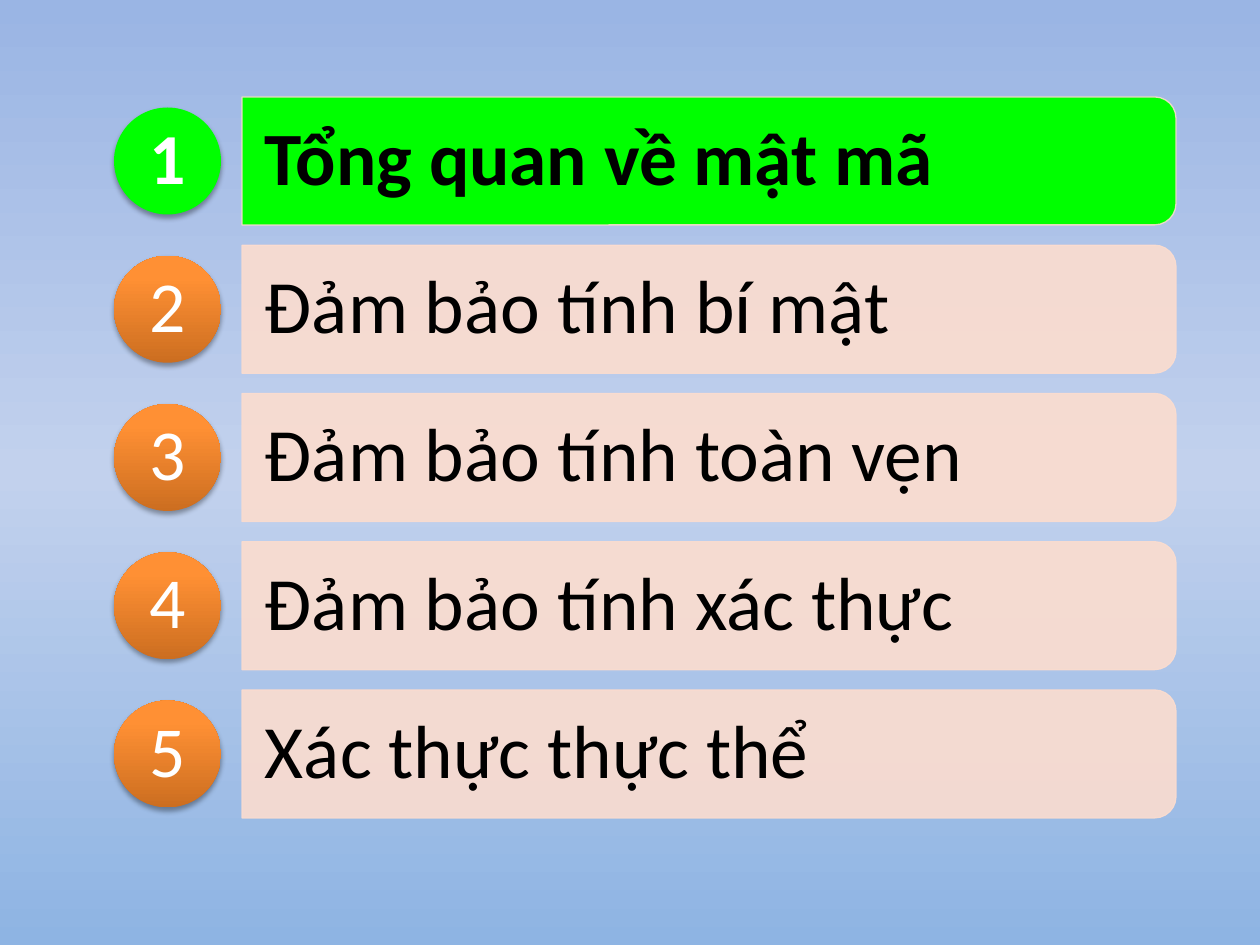
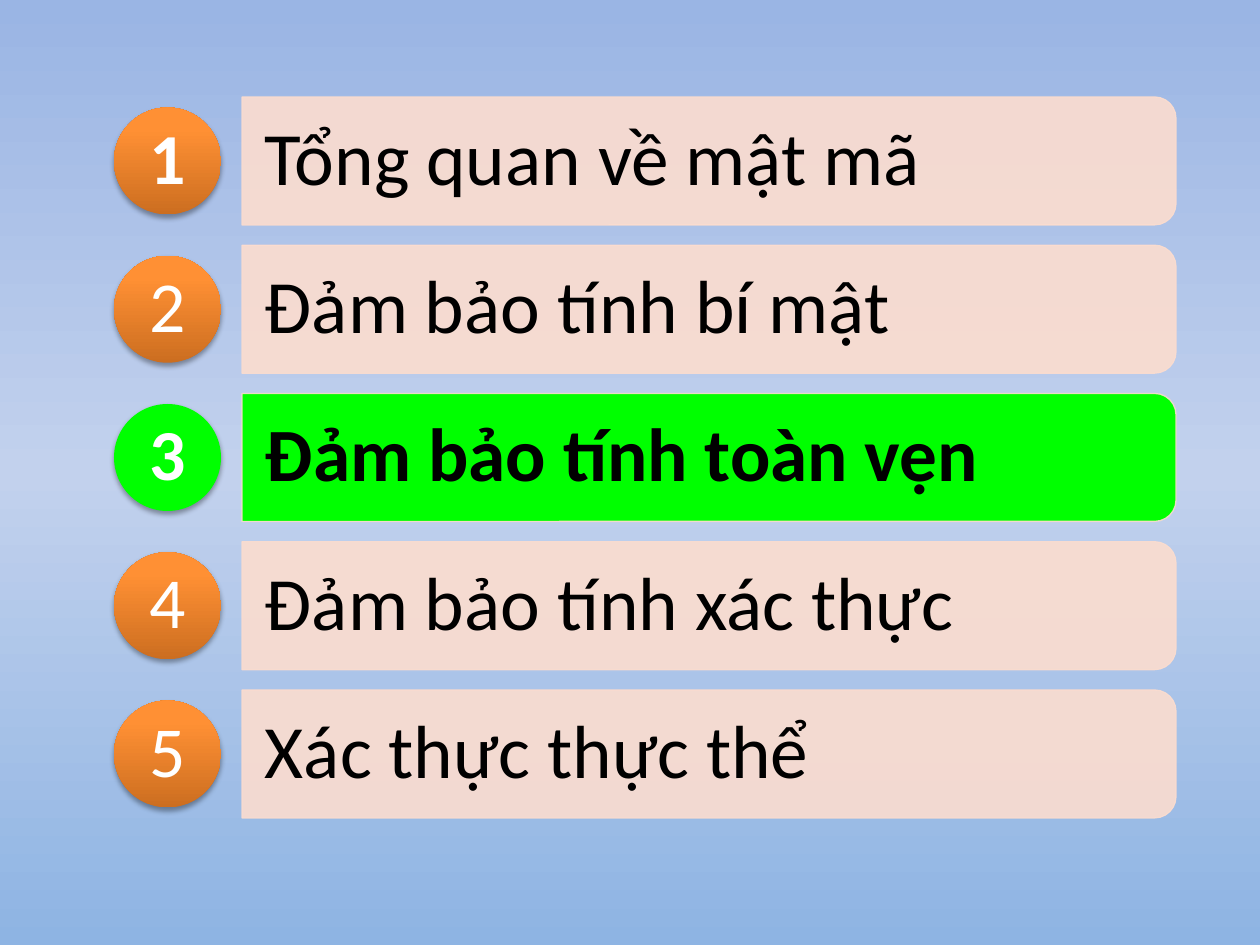
from dataclasses import dataclass
from typing import NamedTuple

from lxml import etree
from pptx import Presentation
from pptx.dml.color import RGBColor
from pptx.enum.shapes import MSO_SHAPE
from pptx.enum.text import MSO_ANCHOR, PP_ALIGN
from pptx.oxml.ns import qn
from pptx.util import Pt

BAR_SHAPE = MSO_SHAPE.ROUND_2_SAME_RECTANGLE
BADGE_SHAPE = MSO_SHAPE.OVAL
MIDDLE = MSO_ANCHOR.MIDDLE
LEFT, CENTER = PP_ALIGN.LEFT, PP_ALIGN.CENTER
EMU_PER_PX = 914400 / 126

TOPICS = (
    "Tổng quan về mật mã",
    "Đảm bảo tính bí mật",
    "Đảm bảo tính toàn vẹn",
    "Đảm bảo tính xác thực",
    "Xác thực thực thể",
)
CURRENT_TOPICS = (1, 3)
ALWAYS_BOLD_NUMBER = 1


@dataclass(frozen=True)
class Theme:
    """Colours, type sizes and measures shared by the slides."""
    font: str = "Calibri"
    topic_size: int = 43
    number_size: int = 41
    ink: str = "000000"
    number_ink: str = "FFFFFF"
    current: str = "00FF00"
    bar: str = "FCDDCF"
    bar_alpha: int = 90
    background: tuple = ((0, "9AB5E4"), (50, "C2D1ED"), (100, "8EB4E3"))
    badge: tuple = ((0, "CC6E20"), (80, "FF9034"), (100, "FF9136"))
    shadow_alpha: int = 35


class Box(NamedTuple):
    """A rectangle in px."""
    left: float
    top: float
    width: float
    height: float

    def emu(self):
        """Return the four lengths in EMU."""
        return [px(length) for length in self]


THEME = Theme()
PAGE = Box(0, 0, 1260, 945)
AGENDA = Box(114, 97, 1062, 721)
BAR_HEIGHT, BAR_INDENT = 128, 128
BADGE_SIZE = 107
TEXT_TRIM = 6
TEXT_INSETS = (23, 15)


def px(length):
    """Turn px into EMU."""
    return round(length * EMU_PER_PX)


def add_color(parent, color, alpha=100):
    """Append a colour with an opacity in percent."""
    tint = etree.SubElement(parent, qn("a:srgbClr"), val=color)
    if alpha < 100:
        etree.SubElement(tint, qn("a:alpha"), val=str(alpha * 1000))


def paint_gradient(fill, owner, stops, angle):
    """Give a fill its gradient stops and its counter-clockwise angle."""
    fill.gradient()
    fill.gradient_angle = angle
    stop_list = next(owner.iter(qn("a:gsLst")))
    for old_stop in list(stop_list):
        stop_list.remove(old_stop)
    for position, color in stops:
        stop = etree.SubElement(stop_list, qn("a:gs"), pos=str(position * 1000))
        add_color(stop, color)


def paint_solid(fill, owner, color, alpha=100):
    """Give a fill one colour with an opacity in percent."""
    fill.solid()
    fill.fore_color.rgb = RGBColor.from_string(color)
    if alpha < 100:
        solid = next(owner.iter(qn("a:solidFill")))
        solid.remove(solid[0])
        add_color(solid, color, alpha)


def write_text(shape, text, size, color, bold, align, insets=(0, 0)):
    """Write one vertically centred line of text in a shape."""
    frame = shape.text_frame
    frame.word_wrap = True
    frame.vertical_anchor = MIDDLE
    frame.margin_left = frame.margin_right = px(insets[0])
    frame.margin_top = frame.margin_bottom = px(insets[1])
    para = frame.paragraphs[0]
    para.alignment = align
    para.line_spacing = 0.9
    para.space_after = Pt(0)
    spacing = next(para._p.iter(qn("a:spcAft")))
    spacing.remove(spacing[0])
    etree.SubElement(spacing, qn("a:spcPct"), val="35000")
    span = para.add_run()
    span.text = text
    span.font.name = THEME.font
    span.font.size = Pt(size)
    span.font.bold = bold
    span.font.color.rgb = RGBColor.from_string(color)


def add_bar(slide, box, topic, is_current):
    """Draw a topic bar, rounded on the right, with its text."""
    upright = Box(box.left + (box.width - box.height) / 2,
                  box.top + (box.height - box.width) / 2,
                  box.height, box.width)
    bar = slide.shapes.add_shape(BAR_SHAPE, *upright.emu())
    bar.rotation = 90
    bar.shadow.inherit = False
    properties = bar._element.spPr
    if is_current:
        paint_solid(bar.fill, properties, THEME.current)
    else:
        paint_solid(bar.fill, properties, THEME.bar, THEME.bar_alpha)
    bar.line.width = Pt(0.75)
    paint_solid(bar.line.fill, bar.line._get_or_add_ln(), THEME.bar, THEME.bar_alpha)
    text_box = Box(box.left, box.top + TEXT_TRIM,
                   box.width - TEXT_TRIM, box.height - 2 * TEXT_TRIM)
    label = slide.shapes.add_textbox(*text_box.emu())
    write_text(label, topic, THEME.topic_size, THEME.ink, is_current, LEFT, TEXT_INSETS)


def add_badge(slide, box, number, is_current):
    """Draw a round number badge with a soft shadow."""
    badge = slide.shapes.add_shape(BADGE_SHAPE, *box.emu())
    properties = badge._element.spPr
    if is_current:
        paint_solid(badge.fill, properties, THEME.current)
    else:
        paint_gradient(badge.fill, properties, THEME.badge, 90)
    badge.line.fill.background()
    badge.shadow.inherit = False
    effects = properties.find(qn("a:effectLst"))
    shadow = etree.SubElement(effects, qn("a:outerShdw"), blurRad=str(Pt(3.1)),
                              dist=str(Pt(1.8)), dir="5400000", rotWithShape="0")
    add_color(shadow, "000000", THEME.shadow_alpha)
    bold = is_current or number == ALWAYS_BOLD_NUMBER
    write_text(badge, str(number), THEME.number_size, THEME.number_ink, bold, CENTER)


def add_agenda(slide, box, current):
    """Stack the topics evenly in a box and highlight the current one."""
    pitch = (box.height - BAR_HEIGHT) / (len(TOPICS) - 1)
    for index, topic in enumerate(TOPICS):
        number = index + 1
        top = box.top + index * pitch
        bar_box = Box(box.left + BAR_INDENT, top, box.width - BAR_INDENT, BAR_HEIGHT)
        badge_box = Box(box.left, top + (BAR_HEIGHT - BADGE_SIZE) / 2,
                        BADGE_SIZE, BADGE_SIZE)
        add_bar(slide, bar_box, topic, number == current)
        add_badge(slide, badge_box, number, number == current)


def add_agenda_slide(deck, current):
    """Add an agenda slide on the shared gradient background."""
    slide = deck.slides.add_slide(deck.slide_layouts[6])
    paint_gradient(slide.background.fill, slide._element, THEME.background, 270)
    add_agenda(slide, AGENDA, current)


def main():
    """Build the deck and save it."""
    deck = Presentation()
    deck.slide_width, deck.slide_height = px(PAGE.width), px(PAGE.height)
    for current in CURRENT_TOPICS:
        add_agenda_slide(deck, current)
    deck.save("out.pptx")


if __name__ == "__main__":
    main()
